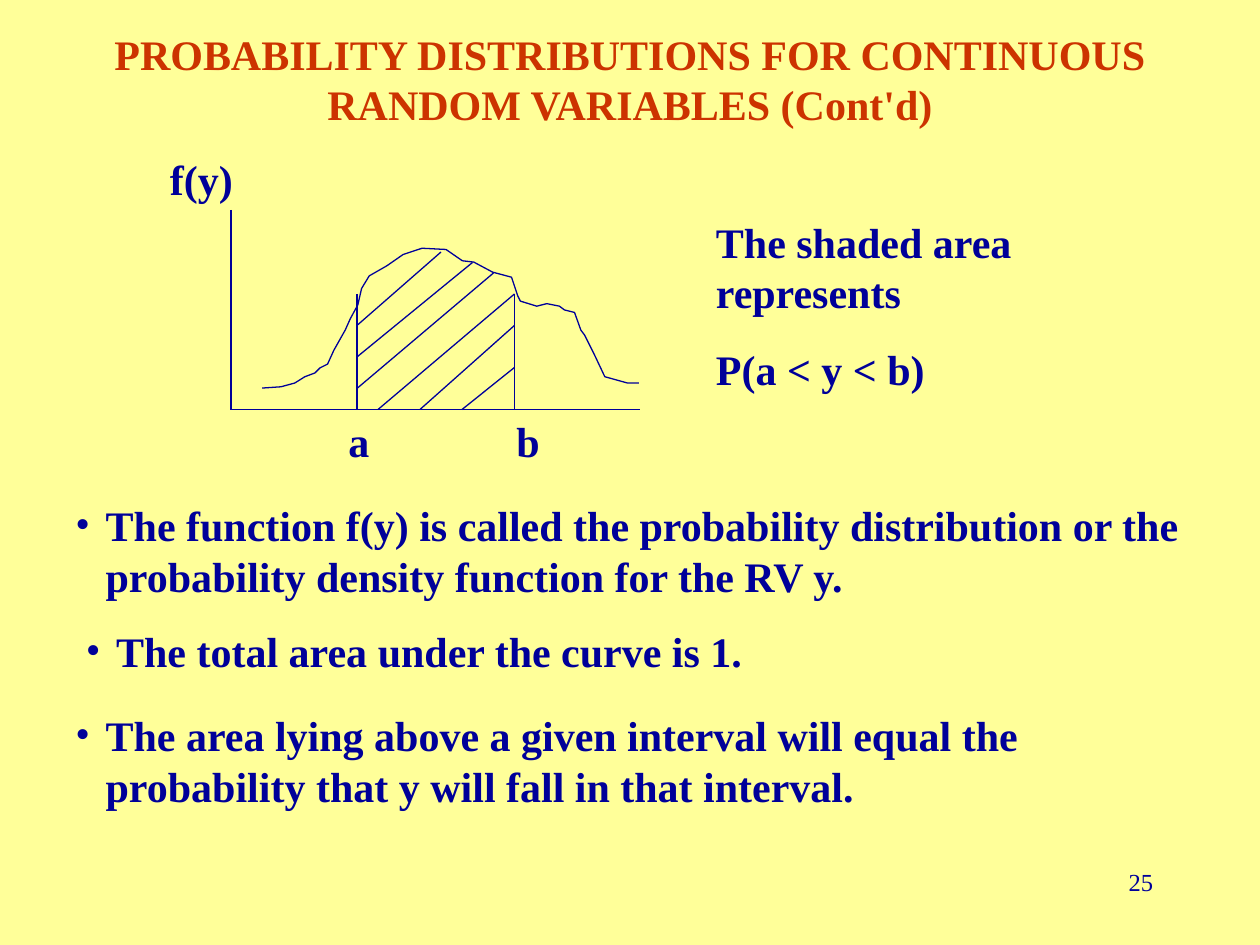
from lxml import etree
from pptx import Presentation
from pptx.dml.color import RGBColor
from pptx.enum.shapes import MSO_CONNECTOR
from pptx.enum.text import MSO_ANCHOR, PP_ALIGN
from pptx.oxml.ns import qn
from pptx.util import Inches, Pt

LEFT, CENTER, RIGHT = PP_ALIGN.LEFT, PP_ALIGN.CENTER, PP_ALIGN.RIGHT
TOP, MIDDLE = MSO_ANCHOR.TOP, MSO_ANCHOR.MIDDLE
STRAIGHT = MSO_CONNECTOR.STRAIGHT
COLORS = {"paper": "FFFF99", "title": "CC3300", "ink": "000099"}
FONT = "Times New Roman"
HANG = Inches(0.24)

prs = Presentation()
prs.slide_width, prs.slide_height = Inches(10), Inches(7.5)
CELL = prs.slide_width / 120  # the slide is a grid of 120 columns by 90 rows
s = prs.slides.add_slide(prs.slide_layouts[6])
s.background.fill.solid()
s.background.fill.fore_color.rgb = RGBColor.from_string(COLORS["paper"])


def grid(*cells):
    return [round(c * CELL) for c in cells]


def add_text(text, box, size=24, color="ink", bold=True, align=LEFT,
             anchor=TOP, bullet=False):
    """Put text in a box given in grid cells, one paragraph per line."""
    tf = s.shapes.add_textbox(*grid(*box)).text_frame
    tf.word_wrap = True
    tf.vertical_anchor = anchor
    for i, line in enumerate(text.split("\n")):
        p = tf.paragraphs[0] if i == 0 else tf.add_paragraph()
        p.alignment = align
        if i:
            p.space_before = Pt(15)
        if bullet:
            pPr = p._p.get_or_add_pPr()
            pPr.set("marL", str(HANG))
            pPr.set("indent", str(-HANG))
            etree.SubElement(pPr, qn("a:buFont")).set("typeface", FONT)
            etree.SubElement(pPr, qn("a:buChar")).set("char", "•")
        r = p.add_run()
        r.text = line
        r.font.name, r.font.size, r.font.bold = FONT, Pt(size), bold
        r.font.color.rgb = RGBColor.from_string(COLORS[color])


add_text("PROBABILITY DISTRIBUTIONS FOR CONTINUOUS RANDOM VARIABLES (Cont'd)",
         (9, 4, 102, 7), color="title", align=CENTER, anchor=MIDDLE)

# Axes, interval limits and hatching, in grid cells
A, B, BASE = 34, 49, 39
lines = [
    (22, 20, 22, BASE), (22, BASE, 61, BASE),
    (A, 28, A, BASE), (B, 28, B, BASE),
    (42, 24, A, 31), (45, 25, A, 34), (47, 26, A, 37),
    (B, 28, 36, BASE), (B, 31, 40, BASE), (B, 35, 44, BASE),
]
for ends in lines:
    line = s.shapes.add_connector(STRAIGHT, *grid(*ends))
    line.line.color.rgb = RGBColor.from_string(COLORS["ink"])
    line.line.width = Pt(0.75)
    etree.SubElement(line._element.spPr, qn("a:effectLst"))

# Density curve, in hundredths of an inch
density = [
    (208, 308), (223, 307), (234, 304), (242, 299), (250, 296), (254, 292),
    (260, 289), (265, 278), (274, 262), (278, 253), (284, 242), (287, 229),
    (293, 219), (307, 211), (320, 202), (335, 197), (354, 198), (367, 207),
    (376, 208), (391, 216), (406, 220), (411, 235), (413, 239), (426, 243),
    (434, 241), (444, 243), (448, 246), (456, 248), (461, 262), (464, 266),
    (472, 282), (480, 299), (498, 304), (507, 304),
]
builder = s.shapes.build_freeform(*density[0], scale=Inches(0.01))
builder.add_line_segments(density[1:], close=False)
curve = builder.convert_to_shape()
curve.shadow.inherit = False
curve.fill.background()
curve.line.color.rgb = RGBColor.from_string(COLORS["ink"])
curve.line.width = Pt(0.75)

add_text("f(y)", (15, 14, 8.8, 6))
add_text("a", (A - 2, BASE, 4.4, 6))
add_text("b", (B - 1, BASE, 4.4, 6))
add_text("The shaded area represents\nP(a < y < b)", (67, 20, 44, 18))

bullets = [
    ("The function f(y) is called the probability distribution or the "
     "probability density function for the RV y.", (6, 47, 111, 11)),
    ("The total area under the curve is 1.", (7, 59, 108, 6)),
    ("The area lying above a given interval will equal the probability "
     "that y will fall in that interval.", (6, 67, 109, 18)),
]
for text, box in bullets:
    add_text(text, box, bullet=True)

add_text("25", (86, 82, 25, 6), size=14, bold=False, align=RIGHT)

prs.save("out.pptx")
